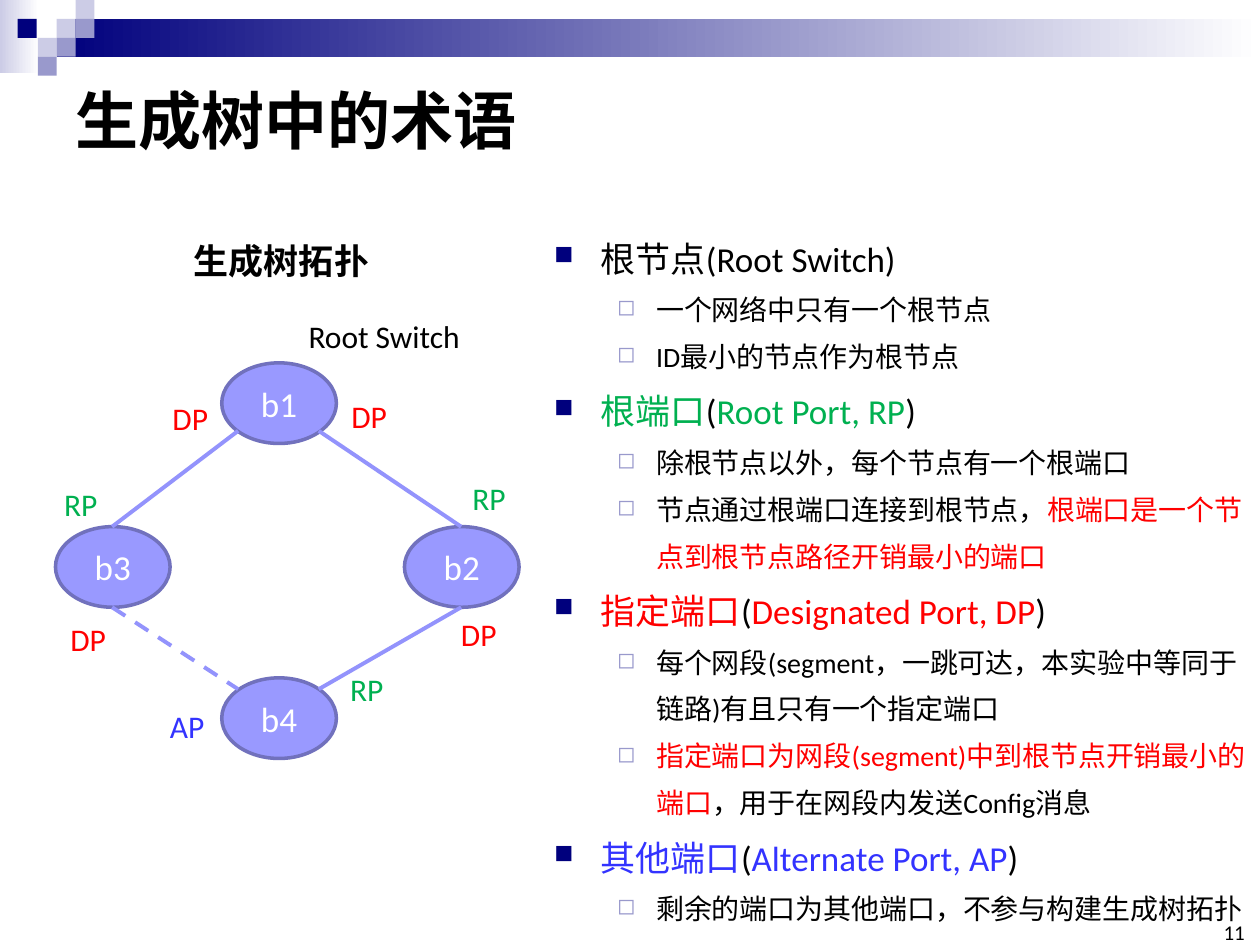
from lxml.etree import SubElement
from pptx import Presentation
from pptx.dml.color import RGBColor
from pptx.enum.dml import MSO_LINE
from pptx.enum.shapes import MSO_CONNECTOR, MSO_SHAPE
from pptx.enum.text import MSO_ANCHOR, PP_ALIGN
from pptx.oxml.ns import qn
from pptx.util import Pt

PX = 9144  # 100 px to the inch
FONT = "Calibri"
BLACK, WHITE, NAVY = "000000", "FFFFFF", "00007D"
PALE, MID = "CCCCE6", "9999CC"
GREEN, RED, BLUE = "00B050", "FF0000", "3333FF"
rgb = RGBColor.from_string


def style(font, size, color, bold=False):
    font.name, font.size, font.bold = FONT, Pt(size), bold
    font.color.rgb = rgb(color)


def add_label(text, x, y, w, h, size, color, bold=False):
    frame = slide.shapes.add_textbox(x * PX, y * PX, w * PX, h * PX).text_frame
    frame.word_wrap = False
    frame.text = text
    style(frame.paragraphs[0].font, size, color, bold)
    return frame


prs = Presentation()
prs.slide_width, prs.slide_height = 1000 * PX, 750 * PX
slide = prs.slides.add_slide(prs.slide_layouts[5])

# Banner: two fading bars, then the small squares
banner = [(0, 0, 31, 58, (PALE, WHITE)), (45, 15, 955, 30, (NAVY, WHITE))]
squares = [(45, 15, PALE), (60, 0, PALE), (60, 15, MID), (30, 30, PALE),
           (14, 15, NAVY), (45, 30, MID), (30, 45, MID)]
banner += [(x, y, 15, 15, (color,)) for x, y, color in squares]
for x, y, w, h, colors in banner:
    block = slide.shapes.add_shape(MSO_SHAPE.RECTANGLE, x * PX, y * PX, w * PX, h * PX)
    block.shadow.inherit = False
    block.line.fill.background()
    if len(colors) == 1:
        block.fill.solid()
        block.fill.fore_color.rgb = rgb(colors[0])
    else:
        block.fill.gradient()
        block.fill.gradient_angle = 0
        for stop, color in zip(block.fill.gradient_stops, colors):
            stop.color.rgb = rgb(color)

# Title
title = slide.shapes.title
title.left, title.top, title.width, title.height = 50 * PX, 50 * PX, 900 * PX, 89 * PX
title.text = "生成树中的术语"
title.text_frame.vertical_anchor = MSO_ANCHOR.MIDDLE
title.text_frame.paragraphs[0].alignment = PP_ALIGN.LEFT
style(title.text_frame.paragraphs[0].font, 36, BLACK, True)

# Page number
page_number = add_label("11", 965, 733, 23, 17, 12, BLACK)
page_number.margin_left = page_number.margin_right = 0
page_number.margin_top = page_number.margin_bottom = 0
page_number.vertical_anchor = MSO_ANCHOR.BOTTOM
page_number.paragraphs[0].alignment = PP_ALIGN.RIGHT

# Switches
SWITCH_W, SWITCH_H = 91, 64
switches = {"b1": (176, 288), "b3": (44, 418), "b2": (321, 418), "b4": (176, 538)}
for name, (x, y) in switches.items():
    switch = slide.shapes.add_shape(MSO_SHAPE.OVAL, x * PX, y * PX,
                                    SWITCH_W * PX, SWITCH_H * PX)
    switch.shadow.inherit = False
    switch.fill.solid()
    switch.fill.fore_color.rgb = rgb("9999FF")
    switch.line.color.rgb = rgb("7171BD")
    switch.line.width = Pt(2)
    switch.text_frame.text = name
    switch.text_frame.vertical_anchor = MSO_ANCHOR.MIDDLE
    switch.text_frame.paragraphs[0].alignment = PP_ALIGN.CENTER
    style(switch.text_frame.paragraphs[0].font, 20, WHITE)

# Links between switches; the blocked one is dashed
links = [(189, 342, 89, 418, False), (253, 342, 366, 418, False),
         (89, 482, 189, 547, True), (366, 482, 253, 547, False)]
for x1, y1, x2, y2, blocked in links:
    link = slide.shapes.add_connector(MSO_CONNECTOR.STRAIGHT,
                                      x1 * PX, y1 * PX, x2 * PX, y2 * PX)
    link.line.color.rgb = rgb("9393FC")
    link.line.width = Pt(2.25)
    if blocked:
        link.line.dash_style = MSO_LINE.DASH
    SubElement(link._element.spPr, qn("a:effectLst"))

# Diagram captions and port labels
add_label("生成树拓扑", 144, 185, 161, 44, 20, BLACK, True)
add_label("Root Switch", 235, 247, 142, 40, 18, BLACK)
ports = {("RP", GREEN): [(41, 380), (365, 375), (268, 527)],
         ("DP", RED): [(127, 312), (269, 310), (46, 487), (356, 483)],
         ("AP", BLUE): [(125, 556)]}
for (port, color), places in ports.items():
    for x, y in places:
        add_label(port, x, y, 48, 40, 18, color)

# Definitions: (level, [(text, color), ...])
definitions = [
    (0, [("根节点(Root Switch)", BLACK)]),
    (1, [("一个网络中只有一个根节点", BLACK)]),
    (1, [("ID最小的节点作为根节点", BLACK)]),
    (0, [("根端口", GREEN), ("(", BLACK), ("Root Port, RP", GREEN), (")", BLACK)]),
    (1, [("除根节点以外，每个节点有一个根端口", BLACK)]),
    (1, [("节点通过根端口连接到根节点，", BLACK),
         ("根端口是一个节点到根节点路径开销最小的端口", RED)]),
    (0, [("指定端口", RED), ("(", BLACK), ("Designated Port, DP", RED), (")", BLACK)]),
    (1, [("每个网段(segment，一跳可达，本实验中等同于链路)有且只有一个指定端口", BLACK)]),
    (1, [("指定端口为网段(segment)中到根节点开销最小的端口", RED),
         ("，用于在网段内发送Config消息", BLACK)]),
    (0, [("其他端口", BLUE), ("(", BLACK), ("Alternate Port, AP", BLUE), (")", BLACK)]),
    (1, [("剩余的端口为其他端口，不参与构建生成树拓扑", BLACK)]),
]
# Per level: left margin, hanging indent, bullet, its color and percent, text size
levels = [(37, 37, "■", NAVY, 75, 20), (81, 31, "◻", MID, 80, 16)]
terms = slide.shapes.add_textbox(430 * PX, 170 * PX, 570 * PX, 551 * PX).text_frame
terms.word_wrap = True
for i, (level, runs) in enumerate(definitions):
    margin, hanging, bullet, bullet_color, percent, size = levels[level]
    paragraph = terms.add_paragraph() if i else terms.paragraphs[0]
    paragraph.level = level
    props = paragraph._p.get_or_add_pPr()
    props.set("marL", str(margin * PX))
    props.set("indent", str(-hanging * PX))
    SubElement(SubElement(props, qn("a:buClr")), qn("a:srgbClr"), val=bullet_color)
    SubElement(props, qn("a:buSzPct"), val=str(percent * 1000))
    SubElement(props, qn("a:buChar"), char=bullet)
    paragraph.line_spacing = 1.4
    paragraph.font.name, paragraph.font.size = FONT, Pt(size)
    for text, color in runs:
        run = paragraph.add_run()
        run.text = text
        run.font.color.rgb = rgb(color)

prs.save("out.pptx")
